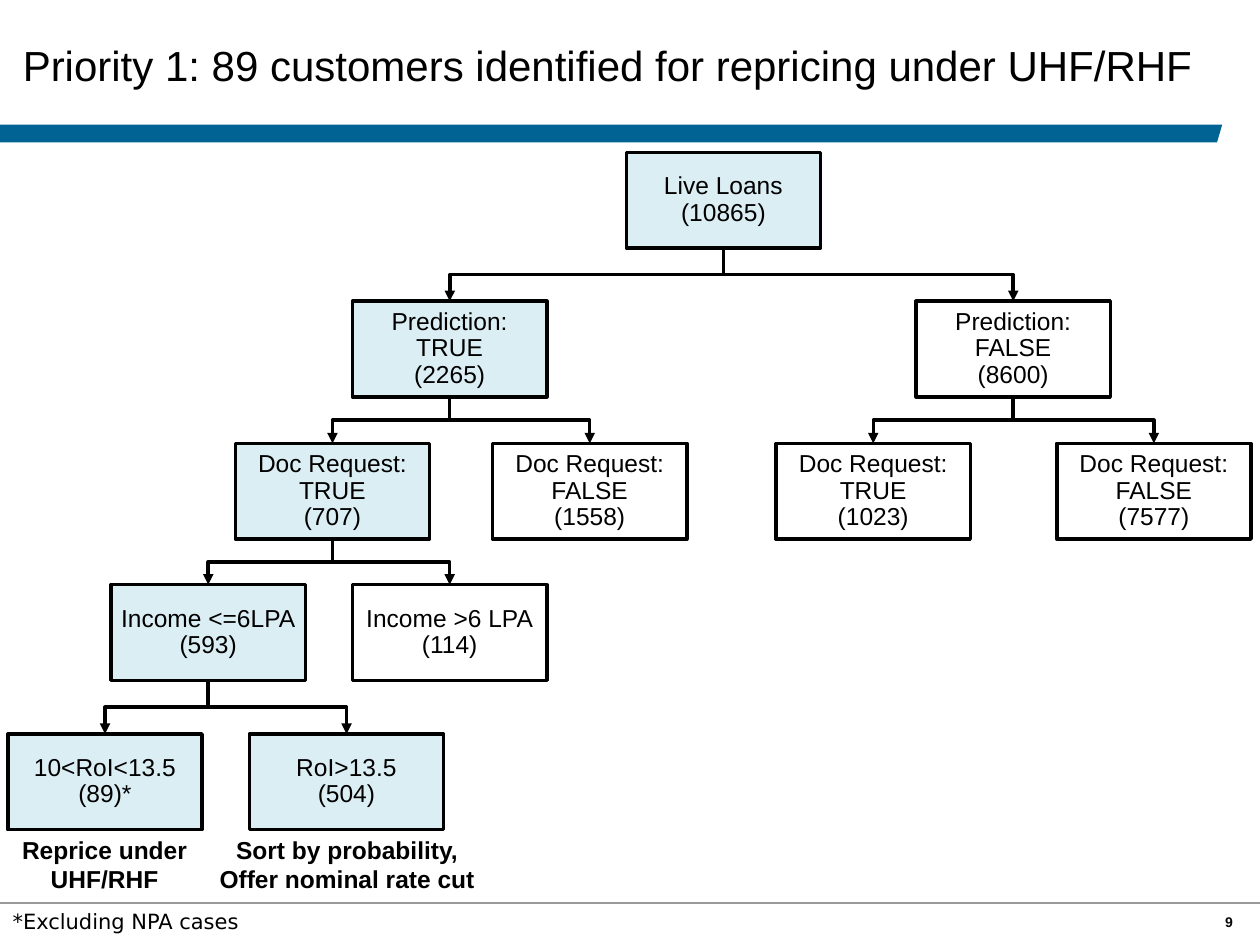
import pptx
import pptx.chart.data
import pptx.dml.color
import pptx.enum.shapes
import pptx.enum.text
import pptx.oxml
import pptx.oxml.ns
import pptx.util

Pt = pptx.util.Pt
ALIGN = pptx.enum.text.PP_ALIGN
ANCHOR = pptx.enum.text.MSO_ANCHOR
SHAPE = pptx.enum.shapes.MSO_SHAPE
CONNECTOR = pptx.enum.shapes.MSO_CONNECTOR

COLORS = {"band": "006393", "rule": "999999", "ink": "000000",
          "number": "080808", "chosen": "DBEEF4", "plain": "FFFFFF"}

BOX_WIDTH, BOX_HEIGHT = 111, 54.7
ROW_TOPS = (87.1, 172.1, 253.4, 334.1, 419.4)

# name: (parent, row, centre, label, count, chosen)
NODES = {
    "live": (None, 0, 413.4, "Live Loans", "(10865)", True),
    "predicted": ("live", 1, 257, "Prediction: TRUE", "(2265)", True),
    "unpredicted": ("live", 1, 579, "Prediction: FALSE", "(8600)", False),
    "predicted_doc": ("predicted", 2, 190, "Doc Request: TRUE", "(707)", True),
    "predicted_no_doc": ("predicted", 2, 337, "Doc Request: FALSE", "(1558)", False),
    "unpredicted_doc": ("unpredicted", 2, 499, "Doc Request: TRUE", "(1023)", False),
    "unpredicted_no_doc": ("unpredicted", 2, 659.4, "Doc Request: FALSE", "(7577)", False),
    "low_income": ("predicted_doc", 3, 119, "Income <=6LPA", "(593)", True),
    "high_income": ("predicted_doc", 3, 257, "Income >6 LPA", "(114)", False),
    "mid_rate": ("low_income", 4, 60, "10<RoI<13.5", "(89)*", True),
    "high_rate": ("low_income", 4, 198, "RoI>13.5", "(504)", True),
}


def rgb(name):
    return pptx.dml.color.RGBColor.from_string(COLORS[name])


def write(shape, *lines, size=14, font="Arial", color="ink", bold=False,
          align=ALIGN.CENTER, anchor=ANCHOR.MIDDLE, spacing=1.0,
          margins=(0, 0, 0, 0), wrap=True):
    """Fill a shape with one paragraph per line; margins are left, top, right, bottom."""
    frame = shape.text_frame
    frame.auto_size = pptx.enum.text.MSO_AUTO_SIZE.NONE
    frame.word_wrap = wrap
    frame.vertical_anchor = anchor
    (frame.margin_left, frame.margin_top,
     frame.margin_right, frame.margin_bottom) = map(Pt, margins)
    for index, line in enumerate(lines):
        para = frame.add_paragraph() if index else frame.paragraphs[0]
        para.alignment = align
        para.line_spacing = spacing
        para.space_before = para.space_after = Pt(0)
        span = para.add_run()
        span.text = line
        span.font.size = Pt(size)
        span.font.name = font
        span.font.bold = bold
        span.font.color.rgb = rgb(color)


class TreePage:
    """The style of the decision tree and the slide it is drawn on."""

    def __init__(self, deck):
        self.page = deck.slides.add_slide(deck.slide_layouts[5])
        self.shapes = self.page.shapes

    def title(self, text):
        title = self.shapes.title
        title.left, title.top, title.width, title.height = map(Pt, (13, 4.3, 683.3, 65.5))
        write(title, text, size=24, align=ALIGN.LEFT, margins=(0, 0, 5, 0))

    def band(self):
        builder = self.shapes.build_freeform(0, Pt(71.3))
        builder.add_line_segments([(Pt(x), Pt(y)) for x, y in
                                   ((698.4, 71.3), (695.5, 81.4), (0, 81.4))])
        band = builder.convert_to_shape()
        band.shadow.inherit = False
        band.fill.solid()
        band.fill.fore_color.rgb = rgb("band")
        band.line.fill.background()

    def label(self, left, top, width, height, text, **style):
        label = self.shapes.add_textbox(*map(Pt, (left, top, width, height)))
        write(label, text, **style)

    def box(self, center, top, lines, chosen):
        box = self.shapes.add_shape(SHAPE.RECTANGLE, Pt(center - BOX_WIDTH / 2), Pt(top),
                                    Pt(BOX_WIDTH), Pt(BOX_HEIGHT))
        box.shadow.inherit = False
        box.fill.solid()
        box.fill.fore_color.rgb = rgb("chosen" if chosen else "plain")
        box.line.color.rgb = rgb("ink")
        box.line.width = Pt(2)
        write(box, *lines, spacing=0.9, margins=(3.6,) * 4)
        return box

    def line(self, kind, ends, color, width):
        line = self.shapes.add_connector(kind, *ends)
        line.line.color.rgb = rgb(color)
        line.line.width = Pt(width)
        line.element.spPr.append(pptx.oxml.parse_xml(
            "<a:effectLst %s/>" % pptx.oxml.ns.nsdecls("a")))
        return line

    def branch(self, parent, child):
        """Join two boxes by an elbow arrow that leaves and arrives vertically."""
        start_x, start_y = parent.left + parent.width // 2, parent.top + parent.height
        end_x, end_y = child.left + child.width // 2, child.top
        arrow = self.line(CONNECTOR.ELBOW, (start_x, start_y, end_x, end_y), "ink", 2)
        arrow.begin_connect(parent, 2)
        arrow.end_connect(child, 0)
        # The preset runs sideways, so it is turned a quarter about its centre.
        drop, run = end_y - start_y, abs(end_x - start_x)
        arrow.left = (start_x + end_x - drop) // 2
        arrow.top = (start_y + end_y - run) // 2
        arrow.width, arrow.height = drop, run
        rightward = end_x > start_x
        arrow.rotation = 270 if rightward else 90
        arrow.element.spPr.xfrm.set("flipH", "1" if rightward else "0")
        arrow.line._get_or_add_ln().append(pptx.oxml.parse_xml(
            '<a:tailEnd type="triangle" %s/>' % pptx.oxml.ns.nsdecls("a")))


def main():
    deck = pptx.Presentation()
    deck.slide_width, deck.slide_height = Pt(720), Pt(540)
    tree = TreePage(deck)
    tree.band()
    tree.line(CONNECTOR.STRAIGHT, map(Pt, (0, 516.2, 720, 516.2)), "rule", 1)
    tree.label(690.5, 523.4, 23.8, 6.5, "9", size=8, color="number", bold=True, wrap=False)
    tree.title("Priority 1: 89 customers identified for repricing under UHF/RHF")

    boxes = {}
    for name, (parent, row, center, label, count, chosen) in NODES.items():
        boxes[name] = tree.box(center, ROW_TOPS[row], (label, count), chosen)
        if parent:
            tree.branch(boxes[parent], boxes[name])

    note = {"anchor": ANCHOR.TOP, "margins": (2.9,) * 4}
    tree.label(4.3, 474, 111, 39.6, "Reprice under UHF/RHF", bold=True, **note)
    tree.label(121.7, 474, 153.4, 39.6, "Sort by probability, Offer nominal rate cut",
               bold=True, **note)
    tree.label(4.3, 516.2, 138.2, 20.2, "*Excluding NPA cases", size=12,
               font="DejaVu Sans", align=ALIGN.LEFT, wrap=False, **note)
    deck.save("out.pptx")


if __name__ == "__main__":
    main()
